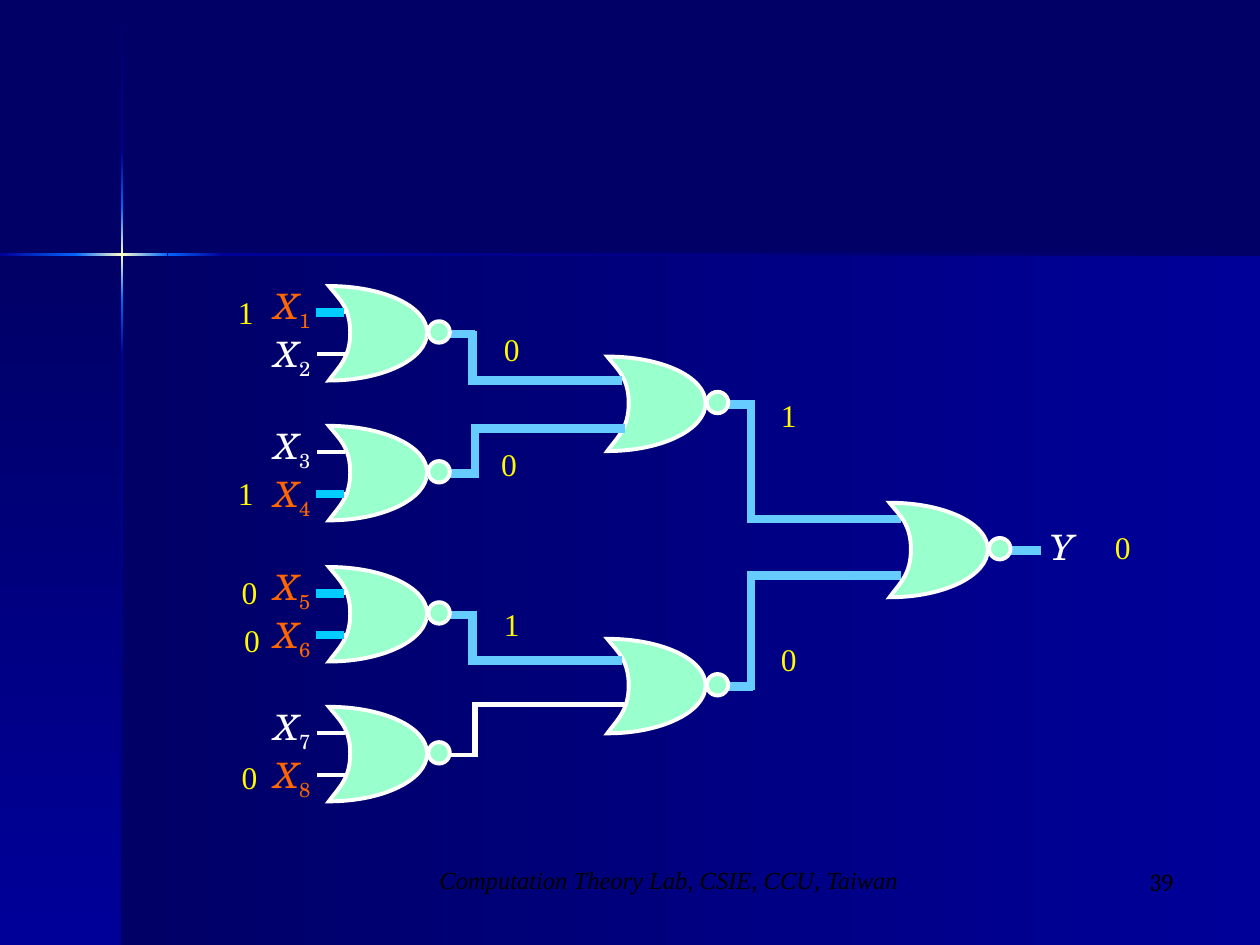
from pptx import Presentation
from pptx.dml.color import RGBColor
from pptx.enum.shapes import MSO_CONNECTOR, MSO_SHAPE
from pptx.enum.text import MSO_ANCHOR, PP_ALIGN
from pptx.oxml.ns import qn
from pptx.util import Inches, Pt
from lxml.etree import SubElement

THEME = {
    "night": "000066", "deep": "000099", "glow": "0066FF", "spark": "FFFFCC",
    "gate": "99FFCC", "white": "FFFFFF", "wire": "66CCFF", "pin": "00CCFF",
    "known": "FF6600", "value": "FFFA00", "footer": "000000",
    "label_font": "TeX Gyre Schola", "text_font": "Times New Roman", "number_font": "Cambria",
    "label_size": 20, "value_size": 18, "footer_size": 14,
    "thin": 2.25, "medium": 3, "thick": 5,
}

# Background bands: left, top, width, height, colours, gradient angle
# (270 runs top to bottom, 180 runs right to left)
DOWN, LEFTWARD = 270, 180
FLARE = ("glow", "spark", "glow")
BANDS = [
    (0.97, 2.02, 9.03, 5.48, ("deep", "night"), LEFTWARD),
    (0, 2.02, 0.97, 5.48, ("night", "deep"), DOWN),
    (0.96, 0.01, 0.02, 1.2, ("night", "deep"), DOWN),
    (0.96, 2.82, 0.02, 4.68, ("deep", "night"), DOWN),
    (1.77, 2.01, 8.23, 0.02, ("night", "deep"), LEFTWARD),
    (0.96, 2.38, 0.02, 0.44, ("glow", "deep"), DOWN),
    (0.96, 1.21, 0.02, 0.44, ("deep", "glow"), DOWN),
    (0.96, 1.65, 0.02, 0.73, FLARE, DOWN),
    (0, 2.01, 0.61, 0.02, ("glow", "deep"), LEFTWARD),
    (1.33, 2.01, 0.44, 0.02, ("deep", "glow"), LEFTWARD),
    (0.6, 2.01, 0.73, 0.02, FLARE, LEFTWARD),
]

# Input gates: top, (subscript, is known, pin is lit) per input, output wire style
INPUT_LEFT = 2.61
SIGNAL, IDLE = ("wire", "thick"), ("white", "thin")
INPUT_GATES = [
    (2.27, [("1", True, True), ("2", False, False)], SIGNAL),
    (3.38, [("3", False, False), ("4", True, True)], SIGNAL),
    (4.5, [("5", True, True), ("6", True, True)], SIGNAL),
    (5.61, [("7", False, False), ("8", True, False)], IDLE),
]
MIDDLE_GATES = [(4.82, 2.83), (4.82, 5.07)]
FINAL_GATE = (7.06, 3.99)

# Elbow wires: x of the riser, y of the output, y of the next input, style
ELBOWS = [
    (3.75, 2.66, 3.02, SIGNAL), (3.77, 3.76, 3.4, SIGNAL),
    (3.75, 4.88, 5.24, SIGNAL), (3.77, 5.99, 5.59, ("white", "medium")),
    (5.96, 3.21, 4.12, SIGNAL), (5.96, 5.44, 4.57, SIGNAL),
]

# Signal values: text, left, top
VALUES = [
    ("1", 1.79, 2.28), ("1", 1.79, 3.71), ("0", 1.82, 4.5), ("0", 1.84, 4.88),
    ("0", 1.82, 5.97), ("0", 3.9, 2.57), ("0", 3.88, 3.48), ("1", 3.9, 4.75),
    ("1", 6.1, 3.09), ("0", 6.1, 5.03), ("0", 8.75, 4.14),
]

# Gate outline from its top left corner: three Bezier points per curve
GATE_CURVES = [
    (0.08, 0.1), (0.17, 0.17), (0.17, 0.37),
    (0.17, 0.57), (0.08, 0.64), (0, 0.75),
    (0.43, 0.75), (0.78, 0.58), (0.78, 0.37),
    (0.78, 0.16), (0.43, 0), (0, 0),
]


def color(name):
    return RGBColor.from_string(THEME[name])


def add_band(slide, left, top, width, height, colors, angle):
    band = slide.shapes.add_shape(MSO_SHAPE.RECTANGLE, *map(Inches, (left, top, width, height)))
    band.shadow.inherit = False
    band.line.fill.background()
    band.fill.gradient()
    band.fill.gradient_angle = angle
    stops = band._element.spPr.find(qn("a:gradFill")).find(qn("a:gsLst"))
    for stop in list(stops):
        stops.remove(stop)
    for index, name in enumerate(colors):
        position = 100000 * index // (len(colors) - 1)
        stop = SubElement(stops, qn("a:gs"), pos=str(position))
        SubElement(stop, qn("a:srgbClr"), val=THEME[name])


def add_line(slide, x1, y1, x2, y2, style):
    line = slide.shapes.add_connector(MSO_CONNECTOR.STRAIGHT, *map(Inches, (x1, y1, x2, y2)))
    line.line.color.rgb = color(style[0])
    line.line.width = Pt(THEME[style[1]])
    SubElement(line._element.spPr, qn("a:effectLst"))


def paint_gate_part(shape):
    shape.shadow.inherit = False
    shape.fill.solid()
    shape.fill.fore_color.rgb = color("gate")
    shape.line.color.rgb = color("white")
    shape.line.width = Pt(THEME["thin"])
    SubElement(shape._element.spPr.find(qn("a:ln")), qn("a:miter"), lim="800000")


def bend_outline(shape):
    """Turn each three straight segments into one Bezier curve."""
    segments = list(shape._element.iter(qn("a:lnTo")))
    for start in range(0, len(segments), 3):
        curve = segments[start].makeelement(qn("a:cubicBezTo"))
        segments[start].addprevious(curve)
        for segment in segments[start:start + 3]:
            curve.append(segment[0])
            segment.getparent().remove(segment)


def add_gate(slide, left, top, style=SIGNAL, stem_end=1.16):
    builder = slide.shapes.build_freeform(Inches(left), Inches(top))
    builder.add_line_segments([(Inches(left + x), Inches(top + y)) for x, y in GATE_CURVES])
    body = builder.convert_to_shape()
    bend_outline(body)
    paint_gate_part(body)
    middle = top + 0.38
    add_line(slide, left + 0.78, middle, left + stem_end, middle, style)
    paint_gate_part(slide.shapes.add_shape(
        MSO_SHAPE.OVAL, *map(Inches, (left + 0.79, top + 0.28, 0.17, 0.17))))


def add_text(slide, left, top, width, height, paragraphs, align=PP_ALIGN.LEFT, label=False):
    """Each paragraph is a list of (text, font, size, colour, italic, subscript)."""
    box = slide.shapes.add_textbox(*map(Inches, (left, top, width, height)))
    frame = box.text_frame
    frame.word_wrap = True
    if label:
        frame.vertical_anchor = MSO_ANCHOR.MIDDLE
        frame.margin_left = frame.margin_right = 0
    for index, spans in enumerate(paragraphs):
        para = frame.add_paragraph() if index else frame.paragraphs[0]
        para.alignment = align
        for text, font, size, ink, italic, subscript in spans:
            span = para.add_run()
            span.text = text
            span.font.name = THEME[font]
            span.font.size = Pt(THEME[size])
            span.font.color.rgb = color(ink)
            span.font.italic = italic
            if subscript:
                span.font._element.set("baseline", "-25000")
    return box


def label_span(text, ink, subscript=False):
    return (text, "label_font", "label_size", ink, not subscript, subscript)


def main():
    deck = Presentation()
    deck.slide_width, deck.slide_height = Inches(10), Inches(7.5)
    slide = deck.slides.add_slide(deck.slide_layouts[6])
    slide.background.fill.solid()
    slide.background.fill.fore_color.rgb = color("night")

    # Background
    for band in BANDS:
        add_band(slide, *band)

    # Input gates with pins and labels
    for top, inputs, style in INPUT_GATES:
        add_gate(slide, INPUT_LEFT, top, style)
        names = []
        for index, (number, known, lit) in enumerate(inputs):
            pin = top + 0.21 + 0.33 * index
            start, end = INPUT_LEFT - 0.09, INPUT_LEFT + 0.13
            add_line(slide, start, pin, end, pin, IDLE)
            if lit:
                add_line(slide, start - 0.01, pin, end - 0.01, pin, ("pin", "thick"))
            ink = "known" if known else "white"
            names.append([label_span("X", ink), label_span(number, ink, True)])
        add_text(slide, 2.08, top - 0.06, 0.48, 0.86, names, PP_ALIGN.CENTER, label=True)

    # Inner gates, wires and final gate
    for left, top in MIDDLE_GATES:
        add_gate(slide, left, top)
    for x, output, target, style in ELBOWS:
        overhang = THEME[style[1]] / 144 * (1 if target > output else -1)
        add_line(slide, x, output - overhang, x, target + overhang, style)
        add_line(slide, x - 0.02, target, x + 1.19, target, style)
    add_gate(slide, *FINAL_GATE, stem_end=1.2)
    add_text(slide, 8.24, 4.12, 0.39, 0.44, [[label_span("Y", "white")]],
             PP_ALIGN.CENTER, label=True)

    # Signal values
    for text, left, top in VALUES:
        span = (text, "text_font", "value_size", "value", False, False)
        box = add_text(slide, left, top, 0.37, 0.4, [[span]])
        box.text_frame.paragraphs[0].space_before = Pt(11.2)

    # Footer
    footer = ("Computation Theory Lab, CSIE, CCU, Taiwan",
              "text_font", "footer_size", "footer", True, False)
    number = ("39", "number_font", "footer_size", "footer", False, False)
    add_text(slide, 3.13, 6.82, 4.36, 0.5, [[footer]], PP_ALIGN.CENTER)
    add_text(slide, 7.33, 6.83, 2.08, 0.5, [[number]], PP_ALIGN.RIGHT)

    deck.save("out.pptx")


if __name__ == "__main__":
    main()
